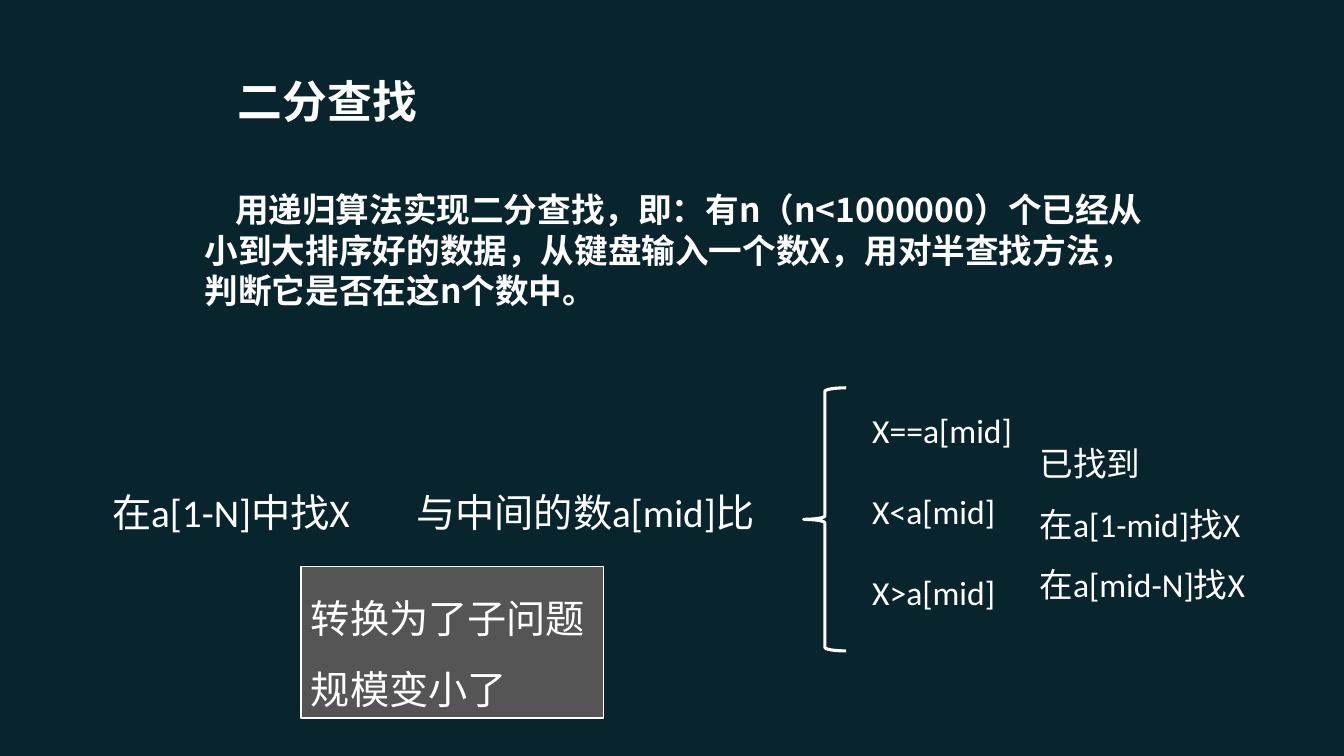
from pptx import Presentation
from pptx.dml.color import RGBColor
from pptx.enum.shapes import MSO_SHAPE
from pptx.enum.text import MSO_ANCHOR, PP_ALIGN
from pptx.oxml.ns import qn
from pptx.util import Inches, Pt
from lxml.etree import SubElement

NIGHT = RGBColor(0x08, 0x25, 0x2D)
GRAY = RGBColor(0x55, 0x55, 0x55)
WHITE = RGBColor(0xFF, 0xFF, 0xFF)
HAN = "Noto Sans CJK SC"


class Board:
    """Style and current slide; areas are left, top, width, height in percent."""

    def __init__(self, deck):
        self.width, self.height = deck.slide_width, deck.slide_height
        self.slide = deck.slides.add_slide(deck.slide_layouts[6])
        fill = self.slide.background.fill
        fill.solid()
        fill.fore_color.rgb = NIGHT

    def place(self, area):
        sizes = (self.width, self.height) * 2
        return [round(share * size / 100) for share, size in zip(area, sizes)]

    def fill_frame(self, frame, lines, size, face="Calibri", bold=False,
                   spacing=None, gap=0, indent=0, anchor=MSO_ANCHOR.TOP):
        frame.word_wrap = True
        frame.vertical_anchor = anchor
        for number, line in enumerate(lines):
            paragraph = frame.add_paragraph() if number else frame.paragraphs[0]
            paragraph.text = line
            paragraph.alignment = PP_ALIGN.LEFT
            if spacing:
                paragraph.line_spacing = spacing
            if number and gap:
                paragraph.space_before = Pt(gap)
            properties = paragraph._p.get_or_add_pPr()
            if indent:
                properties.set("marL", "0")
                properties.set("indent", str(Inches(indent)))
            font = paragraph.font
            font.name, font.size, font.bold = face, Pt(size), bold
            font.color.rgb = WHITE
            SubElement(properties.find(qn("a:defRPr")), qn("a:ea"), typeface=HAN)

    def text(self, area, lines, size, **style):
        box = self.slide.shapes.add_textbox(*self.place(area))
        self.fill_frame(box.text_frame, lines, size, **style)

    def shape(self, kind, area, line_width, fill=None):
        shape = self.slide.shapes.add_shape(kind, *self.place(area))
        shape.shadow.inherit = False
        if fill is None:
            shape.fill.background()
        else:
            shape.fill.solid()
            shape.fill.fore_color.rgb = fill
        shape.line.color.rgb = WHITE
        shape.line.width = Pt(line_width)
        return shape


def main():
    deck = Presentation()
    deck.slide_width, deck.slide_height = Inches(13.33), Inches(7.5)
    board = Board(deck)

    # Title and task
    board.text((16.95, 8, 59.65, 10.5), ["二分查找"], 32, face="Arial",
               bold=True, anchor=MSO_ANCHOR.MIDDLE)
    task = ("用递归算法实现二分查找，即：有n（n<1000000）个已经从小到大排序好的数据，"
            "从键盘输入一个数X，用对半查找方法，判断它是否在这n个数中。")
    board.text((14.5, 24.4, 71.3, 17.5), [task], 24, face=HAN, bold=True, indent=0.3)

    # Search step and comparison
    board.text((7.6, 63.9, 21.4, 7.6), ["在a[1-N]中找X"], 28)
    board.text((30.25, 63.9, 28.3, 7.6), ["与中间的数a[mid]比"], 28)

    # Three cases and what follows from each
    board.shape(MSO_SHAPE.LEFT_BRACE, (59.8, 51.3, 3.15, 34.8), 2.25)
    board.text((64.15, 53.6, 12.1, 28.3),
               ["X==a[mid]", "X<a[mid]", "X>a[mid]"], 24, gap=29)
    board.text((76.6, 55.3, 21.15, 24.7),
               ["已找到", "在a[1-mid]找X", "在a[mid-N]找X"], 24, spacing=1.5)

    # Conclusion
    conclusion = board.shape(MSO_SHAPE.RECTANGLE, (22.4, 74.9, 22.5, 20.1), 1, GRAY)
    board.fill_frame(conclusion.text_frame, ["转换为了子问题", "规模变小了"], 28,
                     face=HAN, spacing=1.5)

    deck.save("out.pptx")


if __name__ == "__main__":
    main()
